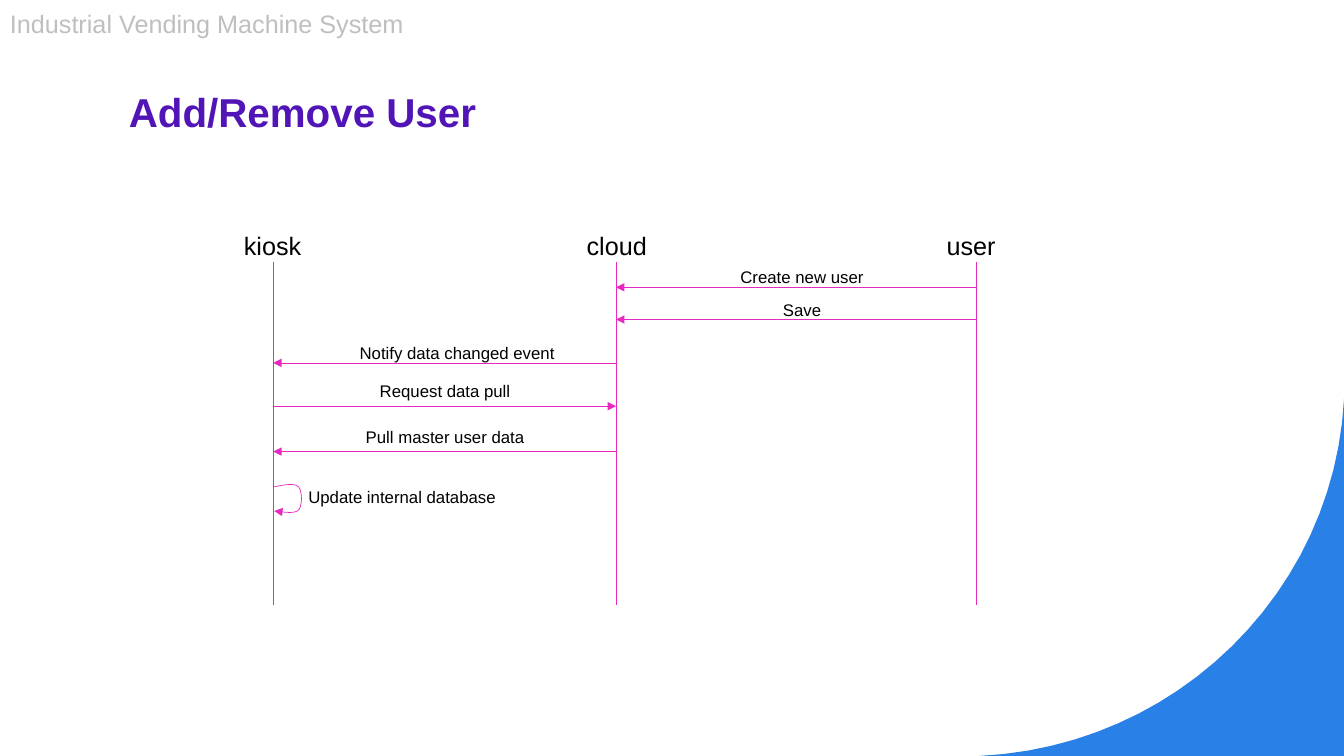
from lxml import etree
from pptx import Presentation
from pptx.dml.color import RGBColor
from pptx.enum.shapes import MSO_CONNECTOR
from pptx.enum.text import MSO_ANCHOR, MSO_AUTO_SIZE, PP_ALIGN
from pptx.oxml.ns import qn
from pptx.util import Inches, Pt

COLORS = {"title": "5115B7", "header": "BFBFBF", "text": "000000",
          "line": "E729BF", "corner": "2980E7"}
CURVE_STEPS = 24

presentation = Presentation()
presentation.slide_width = Inches(13.33)
presentation.slide_height = Inches(7.5)
slide = presentation.slides.add_slide(presentation.slide_layouts[6])


def add_text(text, left, top, width, height, size, color="text",
             align=PP_ALIGN.LEFT, wrap=True):
    shape = slide.shapes.add_textbox(Inches(left), Inches(top), Inches(width), Inches(height))
    frame = shape.text_frame
    frame.text = text
    frame.word_wrap = wrap
    frame.auto_size = MSO_AUTO_SIZE.SHAPE_TO_FIT_TEXT
    paragraph = frame.paragraphs[0]
    paragraph.alignment = align
    font = paragraph.runs[0].font
    font.name = "Arial"
    font.size = Pt(size)
    font.color.rgb = RGBColor.from_string(COLORS[color])
    return shape


def add_curve(start, curves, corners=()):
    points = []
    for control_1, control_2, end in curves:
        begin = points[-1] if points else start
        for step in range(1, CURVE_STEPS + 1):
            t = step / CURVE_STEPS
            weights = ((1 - t) ** 3, 3 * t * (1 - t) ** 2, 3 * t ** 2 * (1 - t), t ** 3)
            points.append(tuple(
                sum(weight * value for weight, value in zip(weights, values))
                for values in zip(begin, control_1, control_2, end)))
    points.extend(corners)
    builder = slide.shapes.build_freeform(Inches(start[0]), Inches(start[1]))
    builder.add_line_segments([(Inches(x), Inches(y)) for x, y in points], close=bool(corners))
    shape = builder.convert_to_shape()
    shape.shadow.inherit = False
    return shape


corner = add_curve((9.71, 7.5), [((11.67, 7.41), (13.23, 5.87), (13.33, 3.96))], [(13.33, 7.5)])
corner.fill.solid()
corner.fill.fore_color.rgb = RGBColor.from_string(COLORS["corner"])
corner.line.fill.background()

title = add_text("Add/Remove User", 1.18, 0.79, 10.88, 0.6, 28.8, "title")
title.text_frame.auto_size = MSO_AUTO_SIZE.NONE
title.text_frame.vertical_anchor = MSO_ANCHOR.BOTTOM
title.text_frame.paragraphs[0].line_spacing = 1.1
title.text_frame.paragraphs[0].runs[0].font.bold = True
add_text("Industrial Vending Machine System", 0, 0.03, 13.33, 0.4, 18, "header")

KIOSK, CLOUD, USER = 2.71, 6.11, 9.68
strokes = []

for name, x, width in [("kiosk", KIOSK, 0.78), ("cloud", CLOUD, 0.85), ("user", USER, 0.69)]:
    add_text(name, x - 0.39, 2.24, width, 0.4, 18, wrap=False)
    lifeline = slide.shapes.add_connector(
        MSO_CONNECTOR.STRAIGHT, Inches(x), Inches(2.6), Inches(x), Inches(6))
    strokes.append((lifeline, False))

messages = [
    ("Create new user", USER, CLOUD, 2.85, 6.79, 2.6),
    ("Save", USER, CLOUD, 3.17, 6.79, 2.92),
    ("Notify data changed event", CLOUD, KIOSK, 3.6, 3.37, 3.35),
    ("Request data pull", KIOSK, CLOUD, 4.03, 3.25, 3.73),
    ("Pull master user data", CLOUD, KIOSK, 4.48, 3.25, 4.18),
]
for text, sender, receiver, y, label_left, label_top in messages:
    arrow = slide.shapes.add_connector(
        MSO_CONNECTOR.STRAIGHT, Inches(sender), Inches(y), Inches(receiver), Inches(y))
    strokes.append((arrow, True))
    add_text(text, label_left, label_top, 2.33, 0.3, 12, align=PP_ALIGN.CENTER)

self_call = add_curve((2.72, 4.83), [
    ((2.82, 4.81), (2.92, 4.79), (2.96, 4.83)),
    ((3, 4.87), (3, 5.02), (2.96, 5.06)),
    ((2.92, 5.1), (2.82, 5.08), (2.72, 5.07)),
])
self_call.fill.background()
strokes.append((self_call, True))
add_text("Update internal database", 2.96, 4.78, 2.33, 0.3, 12)

for stroke, has_arrow in strokes:
    stroke.line.color.rgb = RGBColor.from_string(COLORS["line"])
    stroke.line.width = Pt(0.5)
    properties = stroke._element.spPr
    if has_arrow:
        etree.SubElement(properties.find(qn("a:ln")), qn("a:tailEnd"), type="triangle")
    if properties.find(qn("a:effectLst")) is None:
        etree.SubElement(properties, qn("a:effectLst"))

presentation.save("out.pptx")
